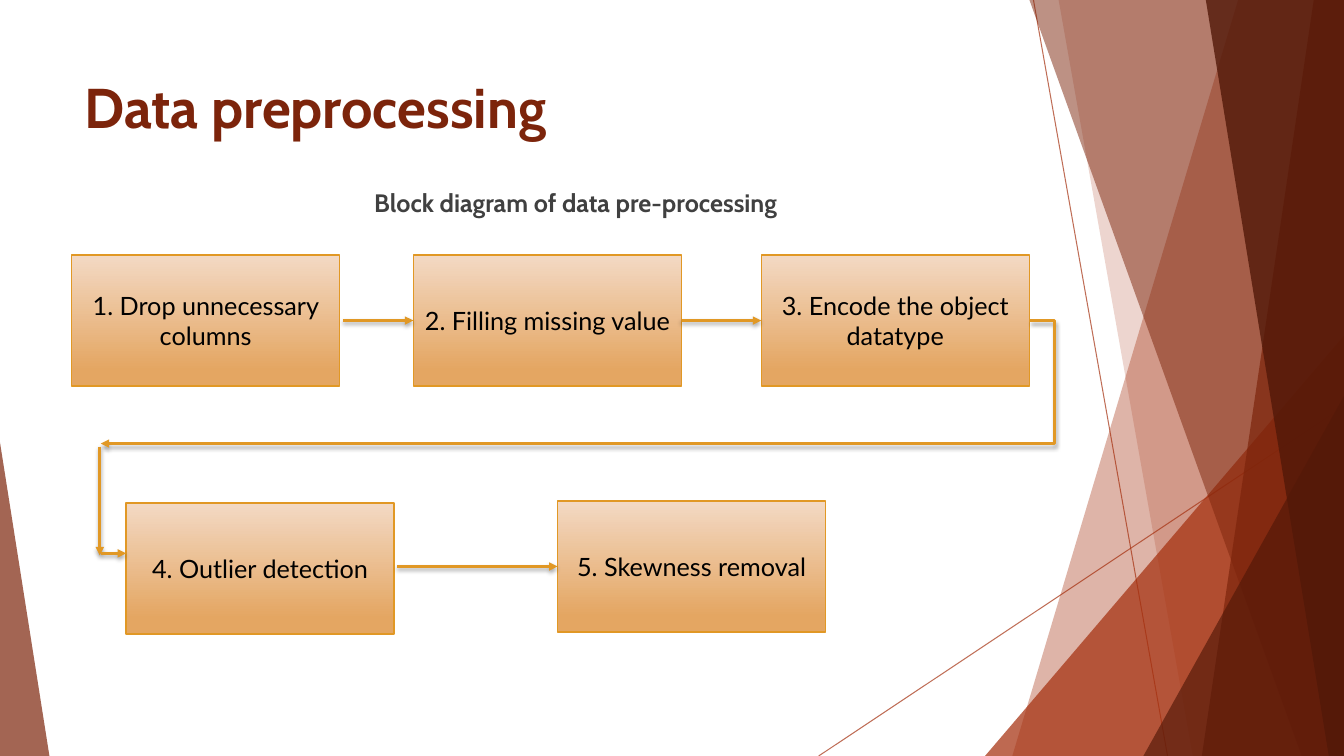
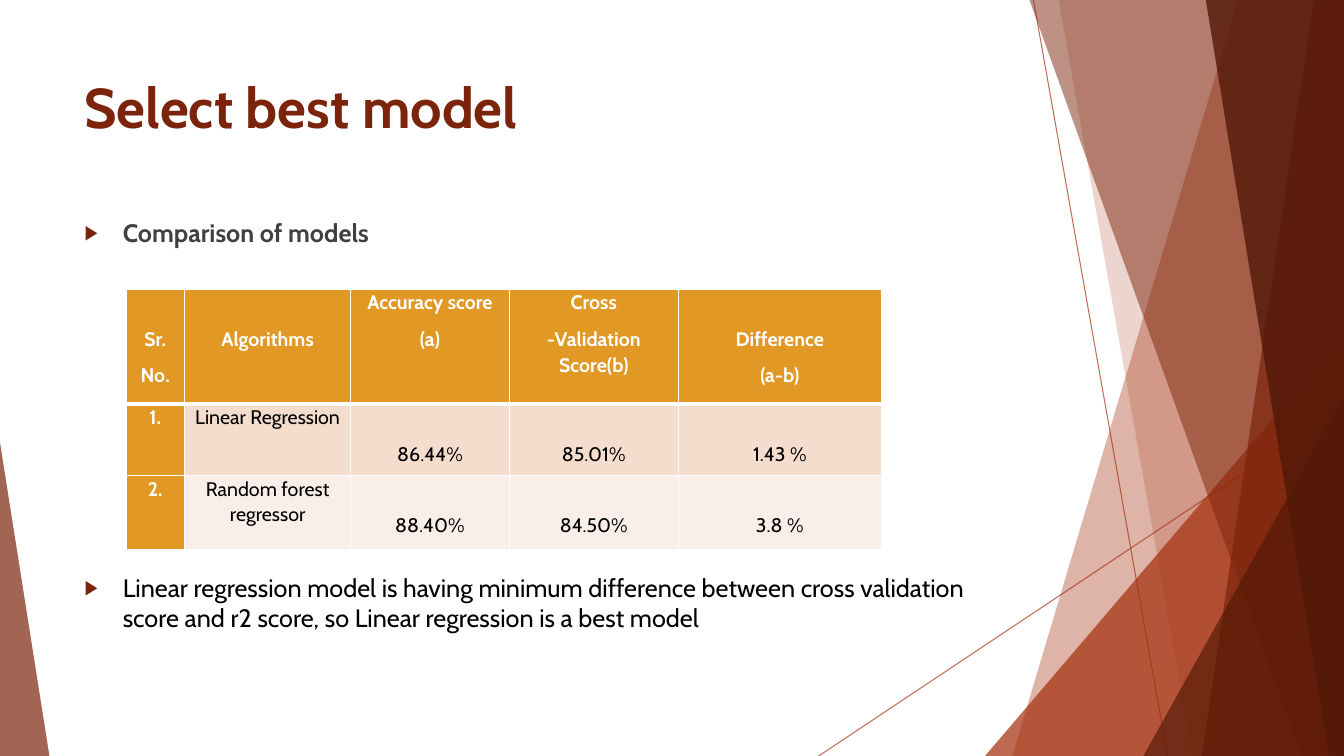
from lxml import etree
from pptx import Presentation
from pptx.dml.color import RGBColor
from pptx.enum.dml import MSO_FILL
from pptx.enum.shapes import MSO_CONNECTOR, MSO_SHAPE
from pptx.enum.text import MSO_ANCHOR, PP_ALIGN
from pptx.oxml.ns import qn
from pptx.util import Inches, Pt

LEFT, CENTER = PP_ALIGN.LEFT, PP_ALIGN.CENTER
TOP, MIDDLE = MSO_ANCHOR.TOP, MSO_ANCHOR.MIDDLE
LINE, ELBOW = MSO_CONNECTOR.STRAIGHT, MSO_CONNECTOR.ELBOW
RECT, PEAK = MSO_SHAPE.RECTANGLE, MSO_SHAPE.ISOSCELES_TRIANGLE
SOLID = MSO_FILL.SOLID

RUST = RGBColor(0xA5, 0x30, 0x0F)
BRICK = RGBColor(0x7C, 0x24, 0x0B)
DARK = RGBColor(0x52, 0x18, 0x08)
GOLD = RGBColor(0xE1, 0x98, 0x25)
CREAM = RGBColor(0xF3, 0xD9, 0xC4)
TAN = RGBColor(0xE4, 0xA6, 0x62)
PEACH = RGBColor(0xF4, 0xDD, 0xCD)
PALE = RGBColor(0xF9, 0xEF, 0xE8)
GRAY = RGBColor(0x40, 0x40, 0x40)
BLACK = RGBColor(0, 0, 0)
WHITE = RGBColor(0xFF, 0xFF, 0xFF)

WIDE, HIGH = 13.33, 7.5
BOX_W, BOX_H = 2.66, 1.3
MARGIN = 0.74

RAYS = [((10.25, 0), (11.58, HIGH)), ((WIDE, 4.03), (8.12, HIGH))]
BANDS = [
    (12.28, 10.04, RUST, 36),
    (10.5, 11.83, RUST, 20),
    ((9.77, 3.33, 3.56, 4.17), 1, RUST, 72),
    (10.21, 12.91, BRICK, 50),
    (13.03, 11.92, BRICK, 70),
    (11.96, 13.18, DARK, 80),
    ((11.34, 3.93, 1.99, 3.57), 1, DARK, 66),
    ((0, 4.39, 0.49, 3.11), 0, BRICK, 70),
]

STEPS = [
    (0.71, 2.53, "1. Drop unnecessary columns"),
    (4.1, 2.53, "2. Filling missing value"),
    (7.55, 2.53, "3. Encode the object datatype"),
    (1.25, 4.99, "4. Outlier detection"),
    (5.53, 4.97, "5. Skewness removal"),
]

COLS = [0.58, 1.65, 1.57, 1.68, 2.01]
ROWS = [1.14, 0.71, 0.73]
GRID = [
    ["Sr.\nNo.", "Algorithms", "Accuracy score\n(a)",
     "Cross\n-Validation Score(b)", "Difference\n(a-b)"],
    ["1.", "Linear Regression", "86.44%", "85.01%", "1.43 %"],
    ["2.", "Random forest regressor", "88.40%", "84.50%", "3.8 %"],
]
DROPS = [[1, 1, 0, 0, 1], [0, 0, 1, 1, 1], [0, 0, 1, 1, 1]]
DROP = 0.36


def write(frame, text, size=18, color=BLACK, bold=False, font="Cabin",
          align=LEFT, anchor=TOP, lead=None, after=0):
    frame.word_wrap = True
    frame.vertical_anchor = anchor
    for i, part in enumerate(text.split("\n")):
        para = frame.paragraphs[0] if i == 0 else frame.add_paragraph()
        para.alignment = align
        para.space_after = Pt(after)
        if lead:
            para.line_spacing = lead
        run = para.add_run()
        run.text = part
        run.font.size = Pt(size)
        run.font.name = font
        run.font.bold = bold
        run.font.color.rgb = color


def label(slide, box, text, **form):
    shape = slide.shapes.add_textbox(*map(Inches, box))
    write(shape.text_frame, text, **form)
    return shape


def node(root, tag, **attrs):
    return etree.SubElement(root, qn(tag), attrs)


def veil(shape, part):
    color = shape._element.spPr.find(".//" + qn("a:srgbClr"))
    node(color, "a:alpha", val=str(part * 1000))


def stroke(slide, start, end, color, width, kind=LINE):
    line = slide.shapes.add_connector(kind, *map(Inches, (*start, *end)))
    line.line.color.rgb = color
    line.line.width = Pt(width)
    glow = node(line._element.spPr, "a:effectLst")
    return line, glow


def arrow(slide, start, end, kind=LINE):
    line, glow = stroke(slide, start, end, GOLD, 2, kind)
    node(line._element.spPr.find(qn("a:ln")), "a:tailEnd", type="triangle")
    shade = node(glow, "a:outerShdw", blurRad=str(Pt(3)), dist=str(Pt(2)),
                 dir="5400000", algn="ctr", rotWithShape="0")
    node(node(shade, "a:srgbClr", val="000000"), "a:alpha", val="35000")
    return line


def band(slide, top, foot, color, part):
    if isinstance(top, tuple):
        shape = slide.shapes.add_shape(PEAK, *map(Inches, top))
        shape.adjustments[0] = foot
    else:
        edge = [(WIDE, 0), (WIDE, HIGH), (foot, HIGH)]
        path = slide.shapes.build_freeform(Inches(top), 0)
        path.add_line_segments([(Inches(x), Inches(y)) for x, y in edge])
        shape = path.convert_to_shape()
    shape.shadow.inherit = False
    shape.fill.solid()
    shape.fill.fore_color.rgb = color
    shape.line.fill.background()
    veil(shape, part)


def base(deck, title):
    slide = deck.slides.add_slide(deck.slide_layouts[6])
    for start, end in RAYS:
        ray, _ = stroke(slide, start, end, RUST, 0.75)
        veil(ray, 70)
    for item in BANDS:
        band(slide, *item)
    label(slide, (MARGIN, 0.67, 9.4, 1.14), title, size=40, color=BRICK,
          bold=True)
    return slide


def step(slide, left, top, text):
    shape = slide.shapes.add_shape(
        RECT, *map(Inches, (left, top, BOX_W, BOX_H)))
    shape.shadow.inherit = False
    shape.fill.gradient()
    shape.fill.gradient_angle = 270
    for stop, spot, color in zip(shape.fill.gradient_stops, (0, 0.88),
                                 (CREAM, TAN)):
        stop.position = spot
        stop.color.rgb = color
    shape.line.color.rgb = GOLD
    shape.line.width = Pt(1)
    write(shape.text_frame, text, font="Lato", align=CENTER, anchor=MIDDLE)
    return shape


def flow(slide):
    boxes = [step(slide, *item) for item in STEPS]
    row = STEPS[0][1] + BOX_H / 2
    low = STEPS[4][1] + BOX_H / 2
    gap = 0.03
    first = arrow(slide, (STEPS[0][0] + BOX_W + gap, row), (STEPS[1][0], row))
    first.end_connect(boxes[1], 1)
    second = arrow(slide, (STEPS[1][0] + BOX_W, row), (STEPS[2][0], row))
    second.begin_connect(boxes[1], 3)
    second.end_connect(boxes[2], 1)
    last = arrow(slide, (STEPS[3][0] + BOX_W + gap, low), (STEPS[4][0], low))
    last.end_connect(boxes[4], 1)
    turn = arrow(slide, (STEPS[2][0] + BOX_W, row), (1, 4.4), ELBOW)
    bends = turn._element.spPr.find(".//" + qn("a:avLst"))
    node(bends, "a:gd", name="adj1", fmla="val -2700")
    arrow(slide, (0.99, 4.43), (0.99, 5.51))
    arrow(slide, (1, 5.49), (STEPS[3][0], 5.49))


def bullet(slide, box, text, **form):
    shape = label(slide, box, text, **form)
    props = shape.text_frame.paragraphs[0]._p.get_or_add_pPr()
    props.set("marL", str(Inches(0.38)))
    props.set("indent", str(Inches(-0.38)))
    node(node(props, "a:buClr"), "a:srgbClr", val=str(BRICK))
    node(props, "a:buSzPct", val="80000")
    node(props, "a:buFont", typeface="Arial")
    node(props, "a:buChar", char="▶")


def border(cell, head):
    props = cell._tc.get_or_add_tcPr()
    for side in "LRTB":
        width = 3 if head and side == "B" else 1
        line = node(props, "a:ln" + side, w=str(Pt(width)))
        node(node(line, "a:solidFill"), "a:srgbClr", val=str(WHITE))


def grid(slide, left, top):
    box = (left, top, sum(COLS), sum(ROWS))
    table = slide.shapes.add_table(
        len(ROWS), len(COLS), *map(Inches, box)).table
    for col, width in zip(table.columns, COLS):
        col.width = Inches(width)
    for r, height in enumerate(ROWS):
        table.rows[r].height = Inches(height)
        for c, text in enumerate(GRID[r]):
            cell = table.cell(r, c)
            strong = r == 0 or c == 0
            border(cell, r == 0)
            cell.fill.solid()
            cell.fill.fore_color.rgb = GOLD if strong else (PEACH, PALE)[r - 1]
            cell.margin_left = cell.margin_right = Inches(0.07)
            cell.margin_top = Inches(DROP * DROPS[r][c])
            cell.margin_bottom = 0
            write(cell.text_frame, text, size=14, bold=strong,
                  color=WHITE if strong else BLACK, align=CENTER,
                  lead=1.07, after=8)


def prep(deck):
    slide = base(deck, "Data preprocessing")
    label(slide, (MARGIN, 1.81, 9.94, 0.4),
          "Block diagram of data pre-processing", color=GRAY, bold=True,
          align=CENTER)
    flow(slide)


def choice(deck):
    slide = base(deck, "Select best model")
    bullet(slide, (MARGIN, 2.11, 9.4, 0.4), "Comparison of models",
           color=GRAY, bold=True)
    bullet(slide, (MARGIN, 5.63, 9.4, 0.7),
           "Linear regression model is having minimum difference between "
           "cross validation score and r2 score, so Linear regression is "
           "a best model")
    grid(slide, 1.25, 2.87)


def main():
    deck = Presentation()
    deck.slide_width = Inches(WIDE)
    deck.slide_height = Inches(HIGH)
    prep(deck)
    choice(deck)
    deck.save("out.pptx")


if __name__ == "__main__":
    main()
